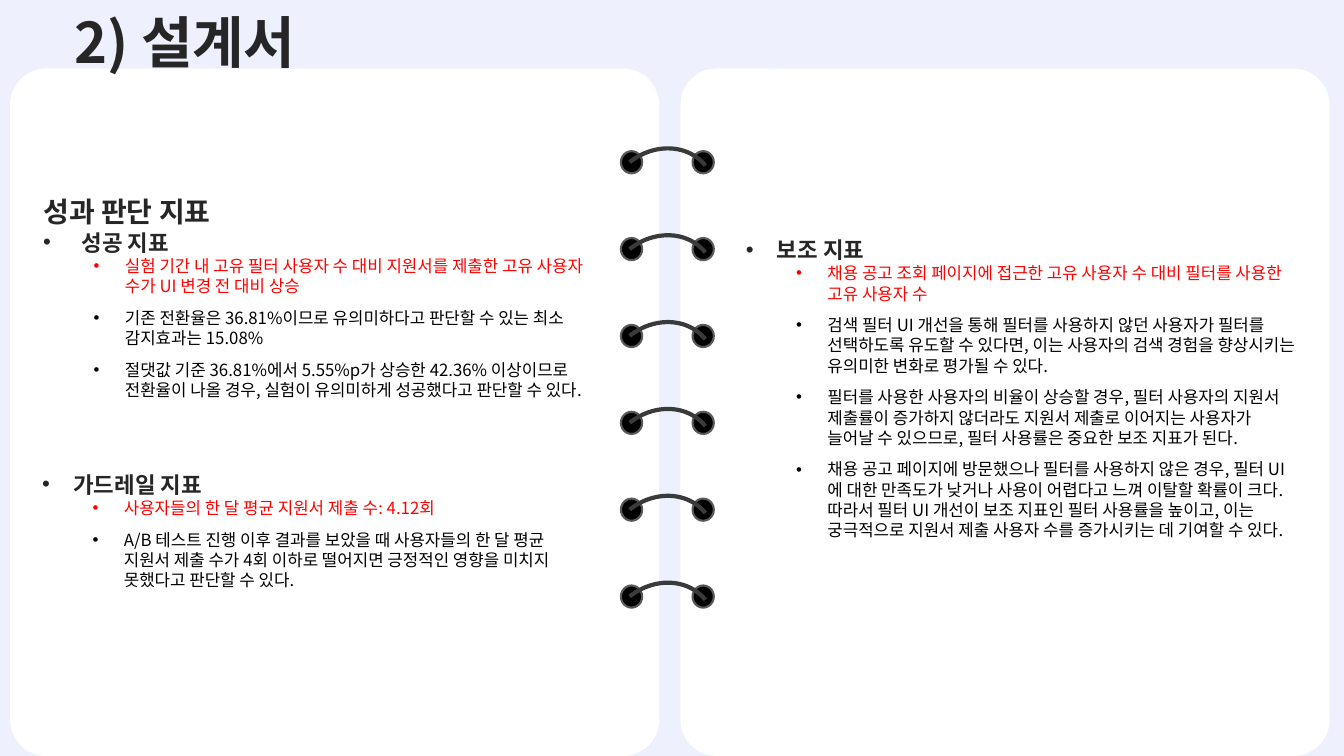
from lxml import etree
from pptx import Presentation
from pptx import util as u
from pptx.dml.color import RGBColor
from pptx.enum import shapes, text
from pptx.oxml.ns import qn

LAVENDER = RGBColor(0xEE, 0xF1, 0xFD)
WHITE = RGBColor(0xFF, 0xFF, 0xFF)
BLACK = RGBColor(0, 0, 0)
HOLE_EDGE = RGBColor(0x59, 0x59, 0x5A)
WIRE = RGBColor(0x3A, 0x3A, 0x3A)
INK = RGBColor(0x26, 0x26, 0x26)
RED = RGBColor(0xFF, 0, 0)

FONT = "Noto Sans CJK KR"
WIDTH, HEIGHT = u.Inches(13.33), u.Inches(7.5)
LEADING = 1.21
RING_COUNT, RING_TOP, RING_PITCH = 6, 20, 11.49

# Text styles: size, bold, colour, left indent, hanging indent (inches), space after
TITLE = dict(size=40, bold=True, color=INK)
HEADING = dict(size=20, bold=True, color=INK)
TOPIC = dict(size=16, bold=True, color=INK, left=0.31, hang=0.31)
WIDE_TOPIC = dict(TOPIC, left=0.38, hang=0.38)
DETAIL = dict(size=12, bold=False, color=BLACK, left=0.81, hang=0.31,
              after=8, level=1)
METRIC = dict(DETAIL, color=RED)

SUCCESS = [
    ("성과 판단 지표", HEADING),
    ("성공 지표", WIDE_TOPIC),
    ("실험 기간 내 고유 필터 사용자 수 대비 지원서를 제출한 고유 사용자 수가 UI 변경 전 대비 상승", METRIC),
    ("기존 전환율은 36.81%이므로 유의미하다고 판단할 수 있는 최소 감지효과는 15.08%", DETAIL),
    ("절댓값 기준 36.81%에서 5.55%p가 상승한 42.36% 이상이므로 전환율이 나올 경우, "
     "실험이 유의미하게 성공했다고 판단할 수 있다.", DETAIL),
]
SUPPORT = [
    ("보조 지표", TOPIC),
    ("채용 공고 조회 페이지에 접근한 고유 사용자 수 대비 필터를 사용한 고유 사용자 수", METRIC),
    ("검색 필터 UI 개선을 통해 필터를 사용하지 않던 사용자가 필터를 선택하도록 유도할 수 있다면, "
     "이는 사용자의 검색 경험을 향상시키는 유의미한 변화로 평가될 수 있다.", DETAIL),
    ("필터를 사용한 사용자의 비율이 상승할 경우, 필터 사용자의 지원서 제출률이 증가하지 않더라도 "
     "지원서 제출로 이어지는 사용자가 늘어날 수 있으므로, 필터 사용률은 중요한 보조 지표가 된다.", DETAIL),
    ("채용 공고 페이지에 방문했으나 필터를 사용하지 않은 경우, 필터 UI에 대한 만족도가 낮거나 "
     "사용이 어렵다고 느껴 이탈할 확률이 크다. 따라서 필터 UI 개선이 보조 지표인 필터 사용률을 높이고, "
     "이는 궁극적으로 지원서 제출 사용자 수를 증가시키는 데 기여할 수 있다.", DETAIL),
]
GUARDRAIL = [
    ("가드레일 지표", TOPIC),
    ("사용자들의 한 달 평균 지원서 제출 수: 4.12회", METRIC),
    ("A/B 테스트 진행 이후 결과를 보았을 때 사용자들의 한 달 평균 지원서 제출 수가 "
     "4회 이하로 떨어지면 긍정적인 영향을 미치지 못했다고 판단할 수 있다.", DETAIL),
]


def place(x, y, w, h):
    """Turn percentages of the slide's size into lengths."""
    return [int(share * side / 100)
            for share, side in zip((x, y, w, h), (WIDTH, HEIGHT) * 2)]


def add_shape(s, kind, box, fill=None, line=None, line_width=0):
    sp = s.shapes.add_shape(kind, *place(*box))
    sp.shadow.inherit = False
    if fill is None:
        sp.fill.background()
    else:
        sp.fill.solid()
        sp.fill.fore_color.rgb = fill
    if line is None:
        sp.line.fill.background()
    else:
        sp.line.color.rgb = line
        sp.line.width = u.Pt(line_width)
    return sp


def add_page(s, left):
    sp = add_shape(s, shapes.MSO_SHAPE.ROUNDED_RECTANGLE,
                   (left, 9.07, 48.3, 90.93), WHITE)
    sp.adjustments[0] = 0.056


def add_ring(s, top):
    """Draw two punched holes and the wire that joins them."""
    for left in (46.2, 51.53):
        add_shape(s, shapes.MSO_SHAPE.OVAL, (left, top, 1.58, 2.93),
                  BLACK, HOLE_EDGE, 1.5)
    wire = add_shape(s, shapes.MSO_SHAPE.ARC, (44.93, top, 8.48, 13.2),
                     line=WIRE, line_width=3)
    wire.rotation = 321.3


def add_bullet(p, left, hang):
    pPr = p._p.get_or_add_pPr()
    pPr.set("marL", str(u.Inches(left)))
    pPr.set("indent", str(-u.Inches(hang)))
    etree.SubElement(pPr, qn("a:buFont")).set("typeface", "Arial")
    etree.SubElement(pPr, qn("a:buChar")).set("char", "•")


def write_paragraph(p, words, style):
    if "left" in style:
        add_bullet(p, style["left"], style["hang"])
    layout = dict(level=style.get("level", 0),
                  line_spacing=u.Pt(style["size"] * LEADING),
                  space_after=u.Pt(style.get("after", 0)))
    for name, value in layout.items():
        setattr(p, name, value)
    r = p.add_run()
    r.text = words
    look = dict(name=FONT, size=u.Pt(style["size"]), bold=style["bold"])
    for name, value in look.items():
        setattr(r.font, name, value)
    r.font.color.rgb = style["color"]
    etree.SubElement(r._r.get_or_add_rPr(), qn("a:ea")).set("typeface", FONT)


def add_text(s, box, paragraphs, **frame):
    tf = s.shapes.add_textbox(*place(*box)).text_frame
    frame = dict(word_wrap=True,
                 auto_size=text.MSO_AUTO_SIZE.SHAPE_TO_FIT_TEXT) | frame
    for name, value in frame.items():
        setattr(tf, name, value)
    for i, (words, style) in enumerate(paragraphs):
        p = tf.add_paragraph() if i else tf.paragraphs[0]
        write_paragraph(p, words, style)
    return tf


def main():
    prs = Presentation()
    prs.slide_width, prs.slide_height = WIDTH, HEIGHT
    s = prs.slides.add_slide(prs.slide_layouts[6])
    s.background.fill.solid()
    s.background.fill.fore_color.rgb = LAVENDER

    for left in (0.75, 50.63):
        add_page(s, left)
    for i in range(RING_COUNT):
        add_ring(s, RING_TOP + i * RING_PITCH)

    title = add_text(s, (0, -0.4, 27.5, 10.27), [("2) 설계서", TITLE)],
                     margin_top=u.Inches(0.1), margin_bottom=0)
    title.paragraphs[0].alignment = text.PP_ALIGN.CENTER
    add_text(s, (2.48, 25.07, 42.53, 28.53), SUCCESS)
    add_text(s, (54.75, 30.53, 42.83, 46.4), SUPPORT,
             margin_right=u.Inches(0.15))
    add_text(s, (2.4, 61.6, 41.7, 17.2), GUARDRAIL)
    prs.save("out.pptx")


if __name__ == "__main__":
    main()
